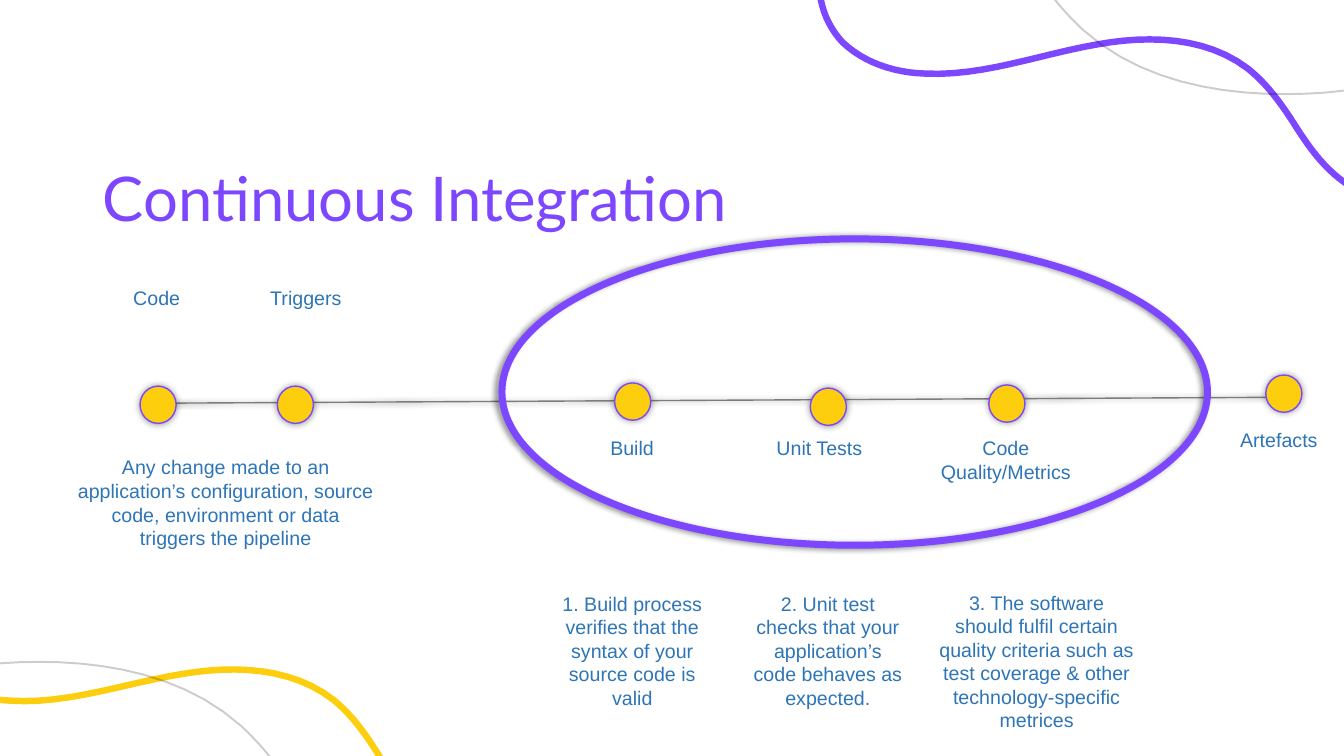
from math import cos, radians, sin

from lxml.etree import SubElement
from pptx import Presentation
from pptx.dml.color import RGBColor
from pptx.enum.shapes import MSO_CONNECTOR, MSO_SHAPE
from pptx.enum.text import MSO_ANCHOR, MSO_AUTO_SIZE, PP_ALIGN
from pptx.oxml.ns import qn
from pptx.util import Cm, Pt

PURPLE = RGBColor(0x7D, 0x46, 0xFF)
YELLOW = RGBColor(0xFC, 0xCE, 0x0D)
BLUE = RGBColor(0x2E, 0x75, 0xB6)
GREY = RGBColor(0x7C, 0x7C, 0x7C)
BLACK = RGBColor(0, 0, 0)
CM_PER_INCH = 2.54
CURVE_STEPS = 12


def trace_curve(controls):
    """Points along a chain of cubic curves that share their end points."""
    points = [controls[0]]
    for first in range(0, len(controls) - 1, 3):
        segment = controls[first:first + 4]
        for step in range(1, CURVE_STEPS + 1):
            t = step / CURVE_STEPS
            weights = ((1 - t) ** 3, 3 * t * (1 - t) ** 2, 3 * t * t * (1 - t), t ** 3)
            points.append(tuple(sum(weight * control[axis]
                                    for weight, control in zip(weights, segment))
                                for axis in (0, 1)))
    return points


def add_shadow(shape, blur, distance, degrees):
    effects = SubElement(shape._element.spPr, qn("a:effectLst"))
    shadow = SubElement(effects, qn("a:outerShdw"), blurRad=str(Pt(blur)),
                        dist=str(Pt(distance)), dir=str(degrees * 60000),
                        algn="ctr", rotWithShape="0")
    color = SubElement(shadow, qn("a:srgbClr"), val="000000")
    SubElement(color, qn("a:alpha"), val="40000")


presentation = Presentation()
presentation.slide_width = Cm(33.87)
presentation.slide_height = Cm(19.05)
slide = presentation.slides.add_slide(presentation.slide_layouts[5])
shapes = slide.shapes

# Corner curves in inches; the lower left pair is the upper right pair, turned and moved
wave = [(8.12, -0.24), (8.12, 0.01), (8.19, 0.24), (8.36, 0.42),
        (8.57, 0.62), (8.87, 0.72), (9.17, 0.73),
        (9.75, 0.76), (10.31, 0.54), (10.89, 0.44),
        (11.39, 0.35), (11.96, 0.36), (12.38, 0.68),
        (12.58, 0.84), (12.72, 1.04), (12.86, 1.26),
        (13, 1.48), (13.16, 1.7), (13.4, 1.85)]
hairline = [(13.78, 0.84), (13.57, 0.87), (13.35, 0.9), (13.13, 0.92),
            (12.42, 0.97), (11.43, 0.91), (10.75, 0.3),
            (10.54, 0.11), (10.37, -0.12), (10.2, -0.35)]
corner_curves = [  # controls, turn in degrees, move, colour, width, opacity in percent
    (wave, 0, (0, 0), PURPLE, 4.6, 100),
    (wave, 0.76, (-9.06, 6.1), YELLOW, 4.6, 100),
    (hairline, 180, (13.14, 7.5), BLACK, 1.4, 20),
    (hairline, 0, (0, 0), BLACK, 1.4, 20),
]
for controls, turn, (move_x, move_y), color, width, opacity in corner_curves:
    cosine, sine = cos(radians(turn)), sin(radians(turn))
    points = [(Cm((x * cosine - y * sine + move_x) * CM_PER_INCH),
               Cm((x * sine + y * cosine + move_y) * CM_PER_INCH))
              for x, y in trace_curve(controls)]
    builder = shapes.build_freeform(*points[0])
    builder.add_line_segments(points[1:], close=False)
    curve = builder.convert_to_shape()
    curve.shadow.inherit = False
    curve.fill.background()
    curve.line.color.rgb = color
    curve.line.width = Pt(width)
    for color_element in curve._element.spPr.iter(qn("a:srgbClr")):
        SubElement(color_element, qn("a:alpha"), val=str(opacity * 1000))

# Title
title = shapes.title
title.left, title.top, title.width, title.height = Cm(2.34), Cm(3.23), Cm(29.21), Cm(3.68)
title.text_frame.text = "Continuous Integration"
title.text_frame.vertical_anchor = MSO_ANCHOR.MIDDLE
paragraph = title.text_frame.paragraphs[0]
paragraph.alignment = PP_ALIGN.LEFT
paragraph.line_spacing = 0.9
paragraph.font.name = "Lato"
paragraph.font.size = Pt(44)
paragraph.font.color.rgb = PURPLE

# Timeline
timeline = shapes.add_connector(MSO_CONNECTOR.STRAIGHT, Cm(4.01), Cm(10.16), Cm(32.36), Cm(10.01))
timeline.line.color.rgb = GREY
timeline.line.width = Pt(1)
add_shadow(timeline, 4, 3, 0)

# Ring around the integration steps
ring = shapes.add_shape(MSO_SHAPE.OVAL, Cm(12.65), Cm(6.02), Cm(17.78), Cm(7.72))
ring.fill.background()
ring.line.color.rgb = PURPLE
ring.line.width = Pt(5)
add_shadow(ring, 4, 3, 180)

# Timeline stops
stops = [(3.53, 9.73), (6.99, 9.73), (15.49, 9.65), (20.42, 9.78), (24.92, 9.7), (31.9, 9.45)]
for left, top in stops:
    stop = shapes.add_shape(MSO_SHAPE.OVAL, Cm(left), Cm(top), Cm(0.91), Cm(0.94))
    stop.fill.solid()
    stop.fill.fore_color.rgb = YELLOW
    stop.line.color.rgb = PURPLE
    stop.line.width = Pt(1)
    add_shadow(stop, 5, 0, 0)

# Labels and explanations: left, top, width, number of lines, text
labels = [
    (2.59, 7.09, 2.72, 1, "Code"),
    (6.35, 7.09, 2.72, 1, "Triggers"),
    (14.61, 10.87, 2.64, 1, "Build"),
    (18.49, 10.85, 4.32, 1, "Unit Tests"),
    (23.42, 10.87, 3.86, 2, "Code Quality/Metrics"),
    (30.3, 10.67, 3.86, 1, "Artefacts"),
    (1.7, 11.35, 7.98, 4, "Any change made to an application’s configuration, source code, "
                          "environment or data triggers the pipeline"),
    (13.79, 14.78, 4.29, 5, "1. Build process verifies that the syntax of your source code "
                            "is valid"),
    (18.72, 14.78, 4.29, 5, "2. Unit test checks that your application’s code behaves as "
                            "expected."),
    (23.42, 14.76, 5.41, 6, "3. The software should fulfil certain quality criteria such as "
                            "test coverage & other technology-specific metrices"),
]
for left, top, width, line_count, text in labels:
    height = 0.26 + 0.6 * line_count
    frame = shapes.add_textbox(Cm(left), Cm(top), Cm(width), Cm(height)).text_frame
    frame.word_wrap = True
    frame.auto_size = MSO_AUTO_SIZE.SHAPE_TO_FIT_TEXT
    frame.text = text
    paragraph = frame.paragraphs[0]
    paragraph.alignment = PP_ALIGN.CENTER
    paragraph.font.name = "Arial"
    paragraph.font.size = Pt(14)
    paragraph.font.color.rgb = BLUE

presentation.save("out.pptx")
